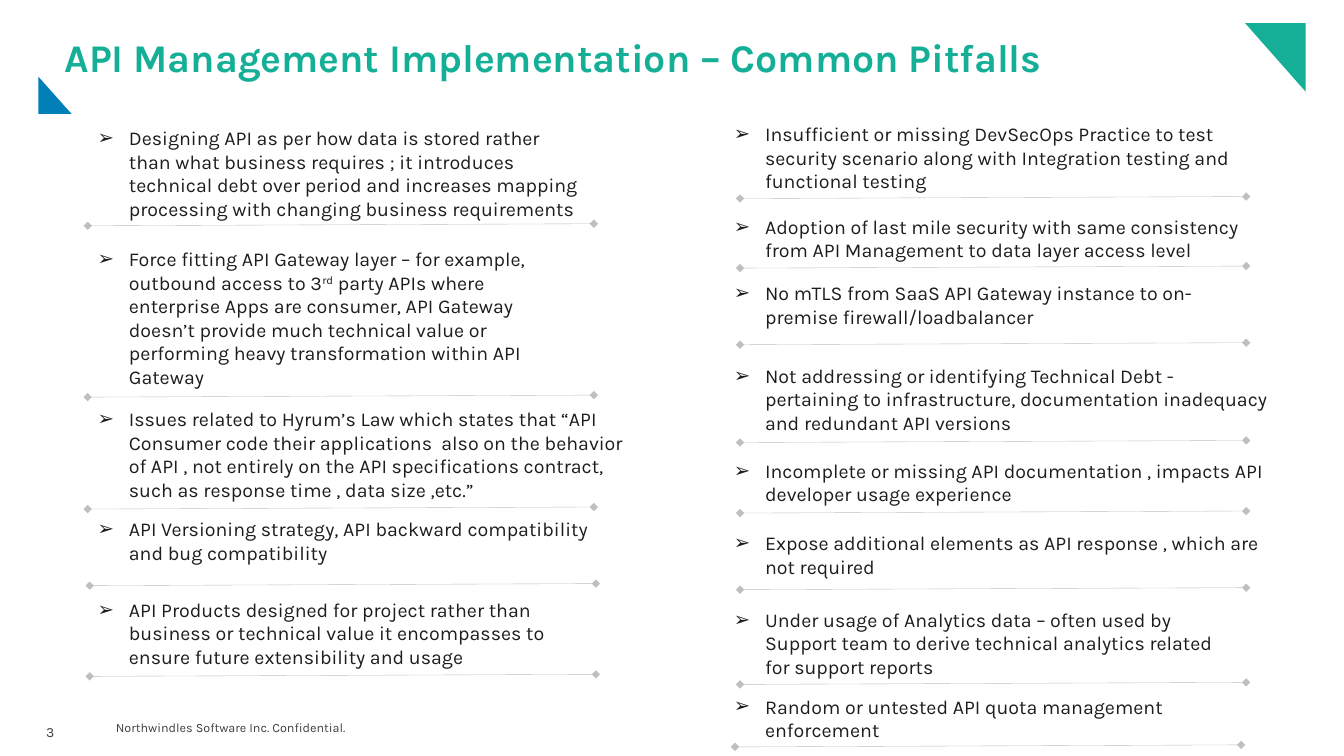
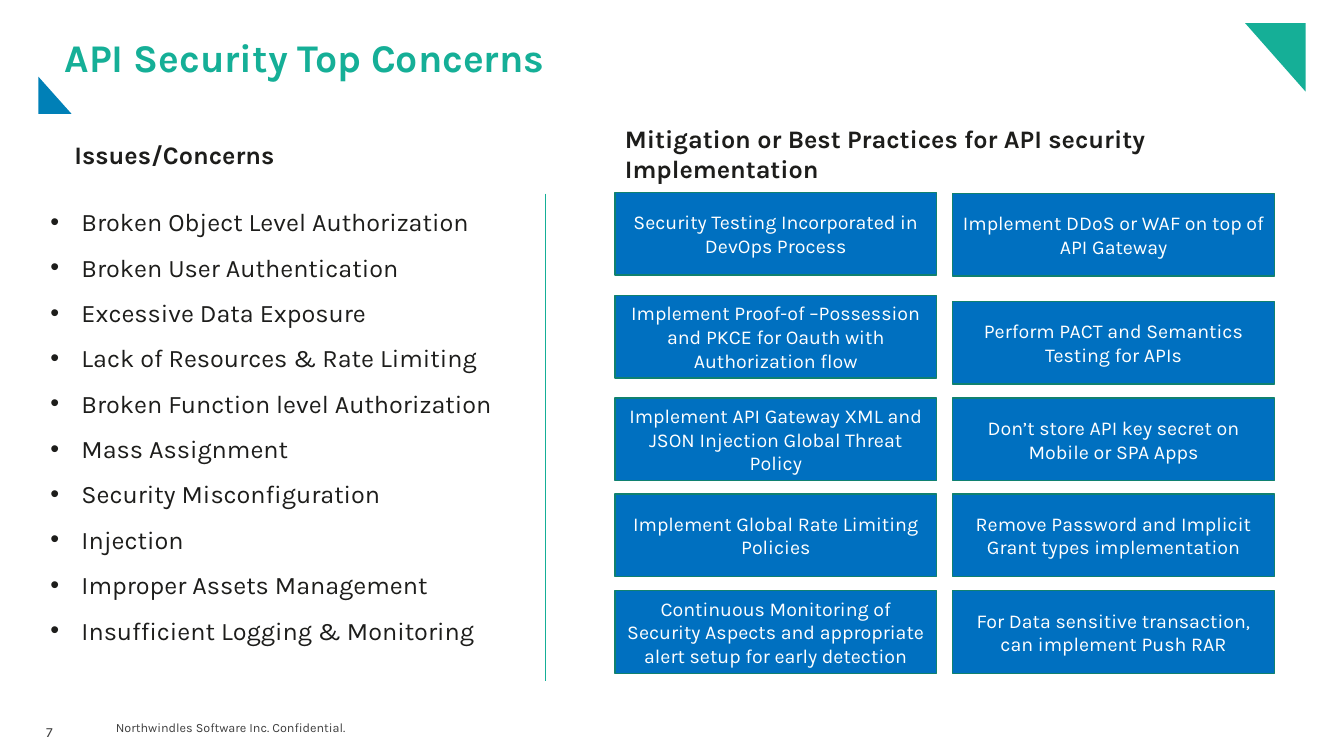
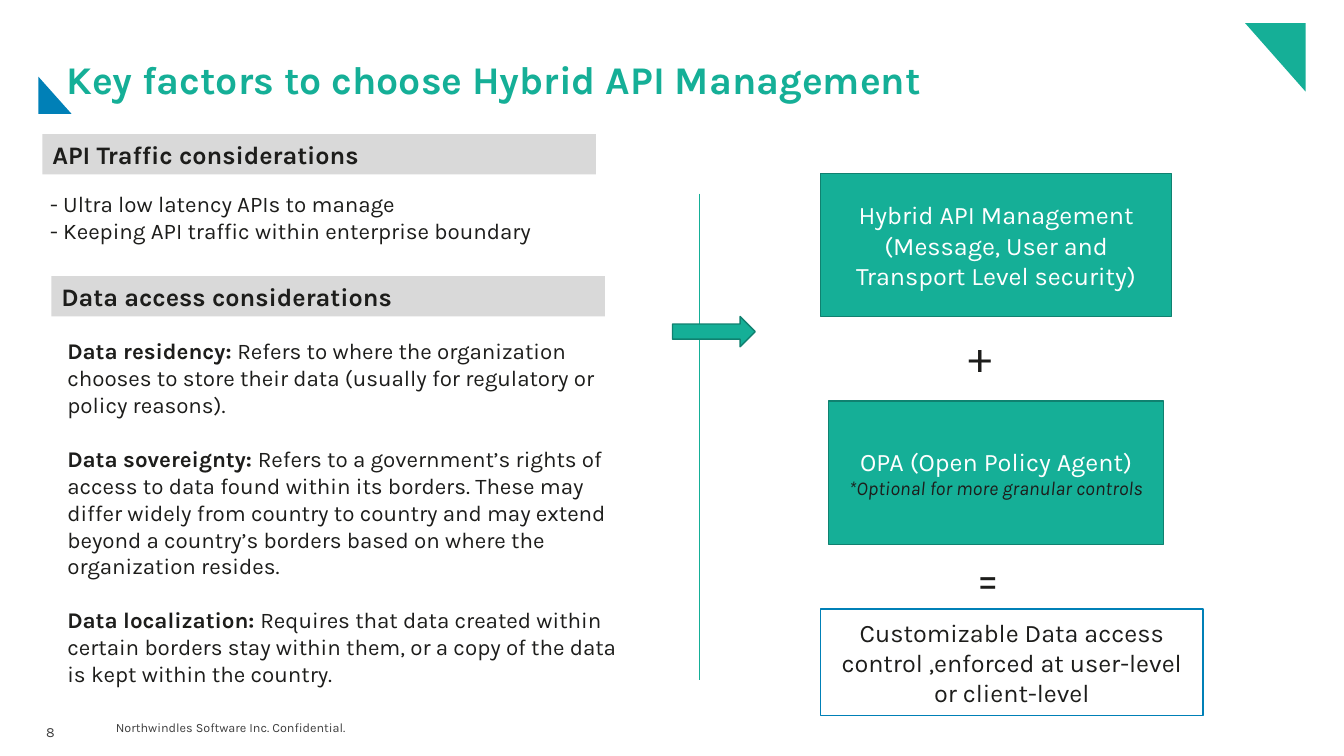
import lxml.etree
import pptx
import pptx.dml.color
import pptx.enum.shapes
import pptx.enum.text
import pptx.oxml.ns
import pptx.util

Inches = pptx.util.Inches
Pt = pptx.util.Pt
Shape = pptx.enum.shapes.MSO_SHAPE
Anchor = pptx.enum.text.MSO_ANCHOR
Align = pptx.enum.text.PP_ALIGN
qn = pptx.oxml.ns.qn
rgb = pptx.dml.color.RGBColor.from_string

FONT = "Karla"
COLORS = {
    "teal": "15AF97", "dark teal": "108170", "sea": "0080B7", "blue": "0070C0",
    "ink": "1D1D1B", "white": "FFFFFF", "footer": "404040",
    "band": "D9D9D9", "rule": "BFBFBF",
}


def add_text(page, at, paragraphs, size, color="ink", bold=False, fill=None, line=None,
             centred=False, middle=False, bullet=None, spacing=None, margins=(0.1, 0.05)):
    """Add a text box, or a rectangle if fill is given; a paragraph is a string or a tuple of runs."""
    place = [Inches(length) for length in at]
    if fill:
        box = page.shapes.add_shape(Shape.RECTANGLE, *place)
        box.shadow.inherit = False
        box.fill.solid()
        box.fill.fore_color.rgb = rgb(COLORS[fill])
        if line:
            box.line.color.rgb = rgb(COLORS[line])
            box.line.width = Pt(1)
        else:
            box.line.fill.background()
    else:
        box = page.shapes.add_textbox(*place)
    frame = box.text_frame
    frame.word_wrap = True
    frame.vertical_anchor = Anchor.MIDDLE if middle else Anchor.TOP
    frame.margin_left = frame.margin_right = Inches(margins[0])
    frame.margin_top = frame.margin_bottom = Inches(margins[1])
    for number, spans in enumerate(paragraphs):
        para = frame.add_paragraph() if number else frame.paragraphs[0]
        para.alignment = Align.CENTER if centred else Align.LEFT
        if spacing:
            para.line_spacing = spacing
        for text in (spans,) if isinstance(spans, str) else spans:
            span = para.add_run()
            span.text = text
            span.font.name = FONT
            span.font.size = Pt(size)
            span.font.bold = bold
            span.font.color.rgb = rgb(COLORS[color])
        if bullet:
            properties = para._p.get_or_add_pPr()
            properties.set("marL", str(Inches(0.31)))
            properties.set("indent", str(-Inches(0.31)))
            lxml.etree.SubElement(properties, qn("a:buFont")).set("typeface", "Arial")
            lxml.etree.SubElement(properties, qn("a:buChar")).set("char", bullet)
    return box


def add_rule(page, start, end, color, width, diamonds=False):
    rule = page.shapes.add_connector(
        pptx.enum.shapes.MSO_CONNECTOR.STRAIGHT,
        *[Inches(length) for length in start + end])
    rule.line.color.rgb = rgb(COLORS[color])
    rule.line.width = Pt(width)
    properties = rule._element.spPr
    if diamonds:
        for tag in ("a:headEnd", "a:tailEnd"):
            lxml.etree.SubElement(properties.find(qn("a:ln")), qn(tag)).set("type", "diamond")
    lxml.etree.SubElement(properties, qn("a:effectLst"))


deck = pptx.Presentation()
deck.slide_width = Inches(13.33)
deck.slide_height = Inches(7.5)

# Shared frame: footer, page number, corner triangles, title
TRIANGLES = [
    ("teal", [(12.35, 0.23), (12.95, 0.23), (12.95, 0.91)]),
    ("sea", [(0.71, 1.13), (0.38, 1.13), (0.38, 0.76)]),
]
TITLES = [
    ("3", 0.64, 0.38, "API Management Implementation – Common Pitfalls"),
    ("7", 0.64, 0.38, "API Security Top Concerns"),
    ("8", 0.66, 0.6, "Key factors to choose Hybrid API Management"),
]
pages = []
for page_number, left, top, title in TITLES:
    page = deck.slides.add_slide(deck.slide_layouts[6])
    pages.append(page)
    add_text(page, (1.05, 7.05, 2.73, 0.34), ["Northwindles Software Inc. Confidential."],
             9, "footer", middle=True)
    add_text(page, (0.36, 7.06, 0.37, 0.31), [page_number], 10, "footer", spacing=Pt(17))
    for color, corners in TRIANGLES:
        points = [(Inches(x), Inches(y)) for x, y in corners]
        builder = page.shapes.build_freeform(*points[0])
        builder.add_line_segments(points[1:], close=True)
        triangle = builder.convert_to_shape()
        triangle.shadow.inherit = False
        triangle.fill.solid()
        triangle.fill.fore_color.rgb = rgb(COLORS[color])
        triangle.line.fill.background()
    add_text(page, (left, top, 12.01, 0.42), [title], 28, "teal", bold=True,
             middle=True, spacing=0.9, margins=(0, 0))

pitfalls_page, security_page, hybrid_page = pages

# Common pitfalls: top, width, number of lines, rule start, text
PITFALLS = {
    0.87: [
        (1.2, 5.02, 4, (0.87, 2.24),
         "Designing API as per how data is stored rather than what business requires ; it introduces "
         "technical debt over period and increases mapping processing with changing business requirements"),
        (2.4, 4.61, 6, (0.87, 3.94),
         ("Force fitting API Gateway layer – for example, outbound access to 3", "rd",
          " party APIs where enterprise Apps are consumer, API Gateway doesn’t provide much technical "
          "value or performing heavy transformation within API Gateway")),
        (3.99, 5.55, 4, (0.87, 5.05),
         "Issues related to Hyrum’s Law which states that “API Consumer code their applications  also on "
         "the behavior of API , not entirely on the API specifications contract, such as response time , "
         "data size ,etc.”"),
        (5.08, 5.39, 2, (0.89, 5.81),
         "API Versioning strategy, API backward compatibility and bug compatibility"),
        (5.88, 5.02, 3, (0.89, 6.71),
         "API Products designed for project rather than business or technical value it encompasses to "
         "ensure future extensibility and usage"),
    ],
    7.18: [
        (1.16, 5.55, 3, (7.34, 1.97),
         "Insufficient or missing DevSecOps Practice to test security scenario along with Integration "
         "testing and functional testing"),
        (2.08, 5.55, 2, (7.34, 2.66),
         "Adoption of last mile security with same consistency from API Management to data layer access level"),
        (2.74, 5.02, 2, (7.34, 3.42),
         "No mTLS from SaaS API Gateway instance to on-premise firewall/loadbalancer"),
        (3.56, 5.55, 3, (7.34, 4.39),
         "Not addressing or identifying Technical Debt -  pertaining to infrastructure, documentation "
         "inadequacy and redundant API versions"),
        (4.5, 5.55, 2, (7.34, 5.09),
         "Incomplete or missing API documentation , impacts API developer usage experience"),
        (5.22, 5.55, 2, (7.34, 5.85),
         "Expose additional elements as API response , which are not required"),
        (5.98, 5.02, 3, (7.34, 6.79),
         "Under usage of Analytics data – often used by Support team to derive technical analytics "
         "related for support reports"),
        (6.84, 5.02, 2, (7.29, 7.41),
         "Random or untested API quota management enforcement"),
    ],
}
for left, pitfalls in PITFALLS.items():
    for top, width, line_count, (rule_x, rule_y), text in pitfalls:
        height = 0.1 + 0.235 * line_count
        box = add_text(pitfalls_page, (left, top, width, height), [text], 14, bullet="➢")
        for span in box.text_frame.paragraphs[0].runs:
            if span.text == "rd":
                span.font._element.set("baseline", "30000")
        add_rule(pitfalls_page, (rule_x, rule_y), (rule_x + 5.02, rule_y - 0.02),
                 "rule", 0.25, diamonds=True)

# Security concerns and mitigations
CONCERNS = [
    "Broken Object Level Authorization",
    "Broken User Authentication",
    "Excessive Data Exposure",
    "Lack of Resources & Rate Limiting",
    "Broken Function level Authorization",
    "Mass Assignment",
    "Security Misconfiguration",
    "Injection",
    "Improper Assets Management",
    "Insufficient Logging & Monitoring",
]
MITIGATIONS = {
    6.1: [
        (1.91, "Security Testing Incorporated in DevOps Process"),
        (2.93, "Implement Proof-of –Possession and PKCE for Oauth with Authorization flow"),
        (3.95, "Implement API Gateway XML and JSON Injection Global Threat Policy"),
        (4.9, "Implement Global Rate Limiting Policies"),
        (5.86, "Continuous Monitoring of Security Aspects and appropriate alert setup for early detection"),
    ],
    9.45: [
        (1.92, "Implement DDoS or WAF on top of API Gateway"),
        (2.99, "Perform PACT and Semantics Testing for APIs"),
        (3.95, "Don’t store API key secret on Mobile or SPA Apps"),
        (4.9, "Remove Password and Implicit Grant types implementation"),
        (5.86, "For Data sensitive transaction, can implement Push RAR"),
    ],
}
add_text(security_page, (0.4, 1.85, 5.11, 4.59), CONCERNS, 18, bullet="•", spacing=1.5)
for at, heading in [
    ((0.64, 1.33, 3.07, 0.4), "Issues/Concerns"),
    ((6.1, 1.17, 6.13, 0.71), "Mitigation or Best Practices for API security Implementation"),
]:
    add_text(security_page, at, [heading], 18, bold=True, fill="white")
for left, mitigations in MITIGATIONS.items():
    for top, text in mitigations:
        add_text(security_page, (left, top, 3.19, 0.82), [text], 14, "white", fill="blue",
                 line="dark teal", centred=True, middle=True)
add_rule(security_page, (5.41, 1.92), (5.41, 6.76), "teal", 0.5)

# Hybrid API management
for left, top, heading in [
    (0.42, 1.33, "API Traffic considerations"),
    (0.51, 2.74, "Data access considerations"),
]:
    add_text(hybrid_page, (left, top, 5.49, 0.4), [heading], 18, bold=True, fill="band")
add_text(hybrid_page, (0.4, 1.84, 5.13, 0.64),
         ["- Ultra low latency APIs to manage", "- Keeping API traffic within enterprise boundary"], 16)

DEFINITIONS = [
    ("Data residency: ",
     "Refers to where the organization chooses to store their data (usually for regulatory or policy reasons)."),
    ("Data sovereignty: ",
     "Refers to a government’s rights of access to data found within its borders. These may differ widely "
     "from country to country and may extend beyond a country’s borders based on where the organization resides."),
    ("Data localization: ",
     "Requires that data created within certain borders stay within them, or a copy of the data is kept "
     "within the country."),
]
definitions_box = add_text(hybrid_page, (0.57, 3.3, 5.83, 3.6), DEFINITIONS, 16)
for number, para in enumerate(definitions_box.text_frame.paragraphs):
    para.runs[0].font.bold = True
    if number:
        para.space_before = Pt(19.2)

add_rule(hybrid_page, (6.94, 1.92), (6.94, 6.75), "teal", 0.5)
arrow = hybrid_page.shapes.add_shape(
    Shape.RIGHT_ARROW, Inches(6.67), Inches(3.14), Inches(0.82), Inches(0.3))
arrow.shadow.inherit = False
arrow.fill.solid()
arrow.fill.fore_color.rgb = rgb(COLORS["teal"])
arrow.line.color.rgb = rgb(COLORS["dark teal"])
arrow.line.width = Pt(1)

EQUATION = [
    ((8.14, 1.72, 3.48, 1.42), "white", "teal", "dark teal",
     ["Hybrid API Management", "(Message, User and Transport Level security)"]),
    ((8.22, 3.98, 3.32, 1.42), "white", "teal", "dark teal",
     ["OPA (Open Policy Agent)", "*Optional for more granular controls"]),
    ((8.14, 6.04, 3.79, 1.06), "ink", "white", "sea",
     ["Customizable Data access control ,enforced at user-level or client-level"]),
]
for at, color, fill, line, paragraphs in EQUATION:
    box = add_text(hybrid_page, at, paragraphs, 18, color, fill=fill, line=line,
                   centred=True, middle=True)
    note = box.text_frame.paragraphs[-1].runs[0]
    if note.text.startswith("*"):
        note.font.size = Pt(14)
        note.font.italic = True
        note.font.color.rgb = rgb(COLORS["ink"])
for left, top, sign in [(9.51, 3.2, "+"), (9.59, 5.4, "=")]:
    add_text(hybrid_page, (left, top, 0.41, 0.64), [sign], 32, centred=True)

deck.save("out.pptx")
